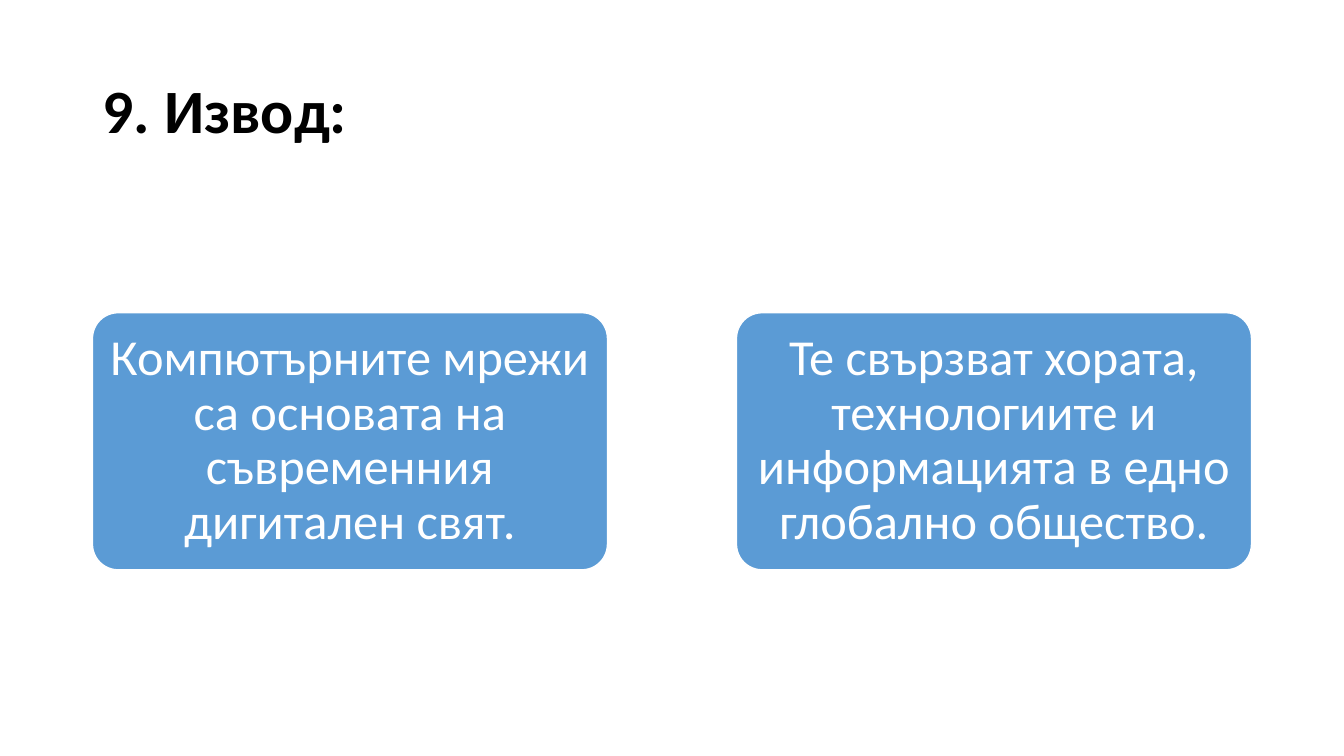
"""Build the conclusion slide: a title above two rounded statement cards."""
from pptx import Presentation
from pptx.dml.color import RGBColor
from pptx.enum.shapes import MSO_SHAPE
from pptx.enum.text import MSO_ANCHOR, PP_ALIGN
from pptx.util import Cm, Pt

COLOURS = {"title": "000000", "card": "5B9BD5", "white": "FFFFFF"}
STATEMENTS = [
    "Компютърните мрежи са основата на съвременния дигитален свят.",
    "Те свързват хората, технологиите и информацията в едно глобално общество.",
]
LEFT, CARD_TOP = 2.33, 7.88
CARD_WIDTH, CARD_HEIGHT, CARD_STEP = 12.98, 6.48, 16.23


def write(frame, text, size, colour, alignment, bold=False):
    frame.word_wrap = True
    frame.vertical_anchor = MSO_ANCHOR.MIDDLE
    para = frame.paragraphs[0]
    para.alignment = alignment
    para.line_spacing = 0.9
    span = para.add_run()
    span.text = text
    span.font.name = "Calibri"
    span.font.size = Pt(size)
    span.font.bold = bold
    span.font.color.rgb = RGBColor.from_string(COLOURS[colour])


deck = Presentation()
deck.slide_width, deck.slide_height = Cm(33.87), Cm(19.05)
page = deck.slides.add_slide(deck.slide_layouts[5])

title = page.shapes.title
title.left, title.top, title.width, title.height = Cm(LEFT), Cm(1.01), Cm(29.21), Cm(3.68)
write(title.text_frame, "9. Извод:", 44, "title", PP_ALIGN.LEFT, bold=True)

for index, statement in enumerate(STATEMENTS):
    card = page.shapes.add_shape(
        MSO_SHAPE.ROUNDED_RECTANGLE,
        Cm(LEFT + index * CARD_STEP), Cm(CARD_TOP), Cm(CARD_WIDTH), Cm(CARD_HEIGHT),
    )
    card.adjustments[0] = 0.1
    card.shadow.inherit = False
    card.fill.solid()
    card.fill.fore_color.rgb = RGBColor.from_string(COLOURS["card"])
    card.line.color.rgb = RGBColor.from_string(COLOURS["white"])
    card.line.width = Pt(1)
    frame = card.text_frame
    frame.margin_left = frame.margin_right = Cm(0.18)
    frame.margin_top = frame.margin_bottom = Cm(0.13)
    write(frame, statement, 36, "white", PP_ALIGN.CENTER)

deck.save("out.pptx")
